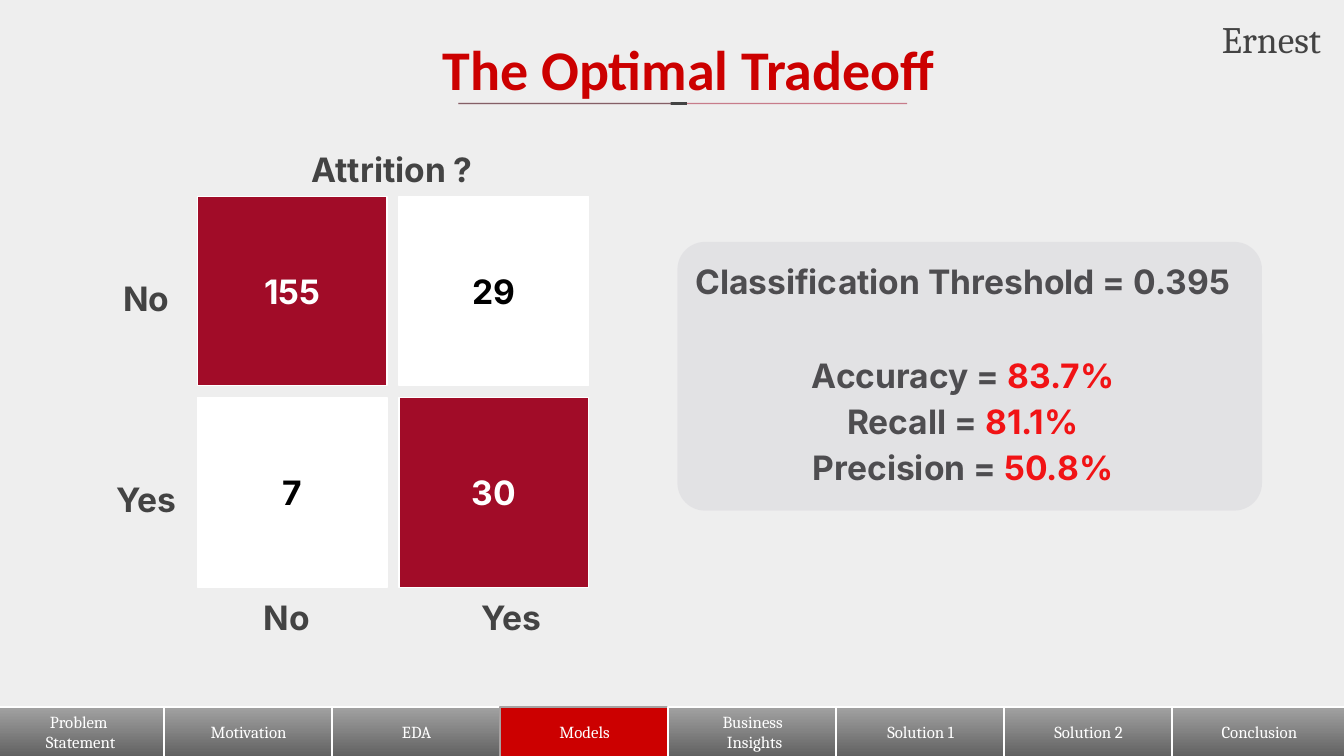
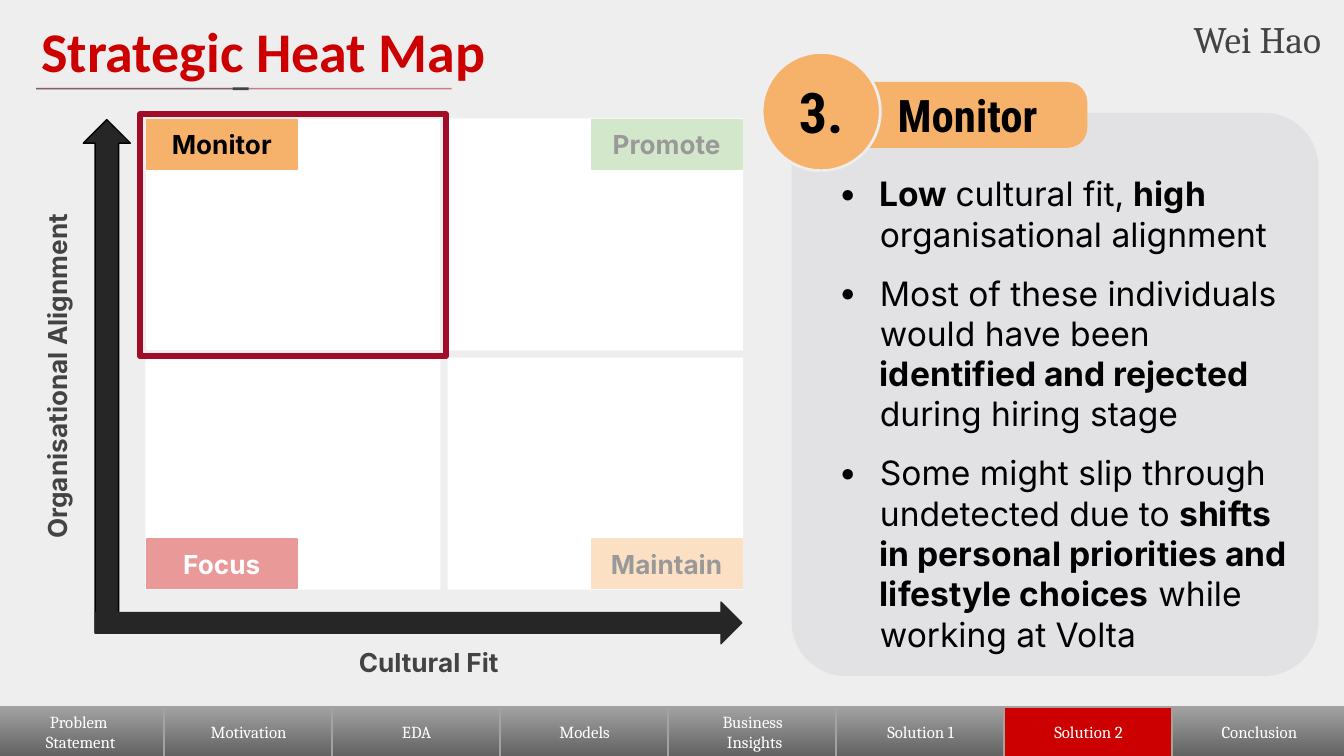
from pptx import Presentation
from pptx.dml.color import RGBColor
from pptx.enum.shapes import MSO_CONNECTOR, MSO_SHAPE
from pptx.enum.text import MSO_ANCHOR, PP_ALIGN
from pptx.oxml.ns import qn
from pptx.util import Pt
from lxml import etree

PX = 9144  # 100 px to the inch
RECT, ROUND, OVAL = MSO_SHAPE.RECTANGLE, MSO_SHAPE.ROUNDED_RECTANGLE, MSO_SHAPE.OVAL
SNIP, UP, RIGHT = MSO_SHAPE.SNIP_1_RECTANGLE, MSO_SHAPE.UP_ARROW, MSO_SHAPE.RIGHT_ARROW
STRAIGHT = MSO_CONNECTOR.STRAIGHT
LEFT, MID, END = PP_ALIGN.LEFT, PP_ALIGN.CENTER, PP_ALIGN.RIGHT
TOP, CENTRE = MSO_ANCHOR.TOP, MSO_ANCHOR.MIDDLE

HEX = {
    "page": "EEEEEE", "white": "FFFFFF", "black": "000000", "dark": "434343",
    "red": "CC0000", "wine": "A10C28", "hot": "FF0000", "edge": "A6A1A1",
    "light": "A2A2A2", "deep": "616161", "panel": "9894A8", "arrow": "262626",
    "amber": "F6B26B", "green": "93C47D",
}
BODY, HEAD, SERIF, NARROW = "Inter", "Calibri", "Cambria", "Roboto Condensed"
TABS = ["Problem \nStatement", "Motivation", "EDA", "Models", "Business\n Insights",
        "Solution 1", "Solution 2", "Conclusion"]
BOLD = {"bold": True}
HOT = {"tone": "hot"}


def rgb(name):
    return RGBColor.from_string(HEX[name])


def px(*nums):
    return [n * PX for n in nums]


def fade(shape, pct):
    """Set the opacity of every colour of a shape."""
    for clr in shape.element.spPr.iter(qn("a:srgbClr")):
        etree.SubElement(clr, qn("a:alpha"), val=str(pct * 1000))


def bullet(para):
    props = para._p.get_or_add_pPr()
    props.set("marL", str(44 * PX))
    props.set("indent", str(-31 * PX))
    clr = etree.SubElement(props, qn("a:buClr"))
    etree.SubElement(clr, qn("a:srgbClr"), val=HEX["black"])
    etree.SubElement(props, qn("a:buFont"), typeface=BODY)
    etree.SubElement(props, qn("a:buChar"), char="•")


def write(shape, paras, size=18, tone="dark", font=BODY, bold=True, align=MID,
          anchor=TOP, inset=(10, 10), lines=None, dots=False, gaps=()):
    """Fill a shape; a paragraph is a string or a list of (text, changes)."""
    frame = shape.text_frame
    frame.word_wrap = True
    frame.vertical_anchor = anchor
    frame.margin_left = frame.margin_right = inset[0] * PX
    frame.margin_top = frame.margin_bottom = inset[1] * PX
    for i, runs in enumerate(paras):
        para = frame.paragraphs[0] if i == 0 else frame.add_paragraph()
        if dots:
            bullet(para)
        para.alignment = align
        if lines:
            para.line_spacing = lines
        if i < len(gaps) and gaps[i]:
            para.space_before = Pt(gaps[i])
        para.font.size, para.font.name, para.font.bold = Pt(size), font, bold
        para.font.color.rgb = rgb(tone)
        for text, change in [(runs, {})] if isinstance(runs, str) else runs:
            run = para.add_run()
            run.text = text
            if "bold" in change:
                run.font.bold = change["bold"]
            if "tone" in change:
                run.font.color.rgb = rgb(change["tone"])


def draw(slide, kind, box, fill=None, line=None, width=0.75, adj=None):
    shape = slide.shapes.add_shape(kind, *px(*box))
    shape.shadow.inherit = False
    if adj is not None:
        shape.adjustments[0] = adj
    if fill:
        shape.fill.solid()
        shape.fill.fore_color.rgb = rgb(fill)
    else:
        shape.fill.background()
    if line:
        shape.line.color.rgb = rgb(line)
        shape.line.width = Pt(width)
    else:
        shape.line.fill.background()
    return shape


def label(slide, box, paras, **style):
    shape = slide.shapes.add_textbox(*px(*box))
    write(shape, paras, **style)
    return shape


def rule(slide, x, y, width, tone):
    line = slide.shapes.add_connector(STRAIGHT, *px(x, y, x + width, y))
    line.line.color.rgb = rgb(tone)
    line.line.width = Pt(0.75)
    fade(line, 50)
    etree.SubElement(line.element.spPr, qn("a:effectLst"))


# Shared parts

def title(slide, text, box, bar, **style):
    label(slide, box, [text], size=30, tone="red", font=HEAD, **style)
    x, y, width = bar
    part = round(width * 0.473)
    rule(slide, x, y, width, "wine")
    rule(slide, x, y, part, "dark")
    draw(slide, RECT, (x + part, y - 1, 12, 2), "dark")


def footer(slide, now, edge):
    for i, name in enumerate(TABS):
        on = name == now
        wide = 130 if i == len(TABS) - 1 else 126
        tab = draw(slide, SNIP, (125 * i - 3, 526, wide, 37), "red",
                   "edge" if on else edge, adj=0)
        if not on:
            tab.fill.gradient()
            tab.fill.gradient_angle = 270
            for stop, tone in zip(tab.fill.gradient_stops, ("light", "deep")):
                stop.color.rgb = rgb(tone)
        write(tab, name.split("\n"), size=9, tone="white", font=SERIF, bold=False,
              anchor=CENTRE, inset=(7, 4))


def page(deck, now, edge, who):
    slide = deck.slides.add_slide(deck.slide_layouts[6])
    slide.background.fill.solid()
    slide.background.fill.fore_color.rgb = rgb("page")
    footer(slide, now, edge)
    label(slide, (849, 8, 141, 41), [who], size=20, font=SERIF, bold=False,
          align=END, inset=(7, 4))
    return slide


def panel(slide, box):
    shape = draw(slide, ROUND, box, "panel", adj=0.103)
    fade(shape, 13)
    return shape


# Confusion matrix

def matrix(slide, x, y):
    side, step = 141, 150
    for r, row in enumerate([("155", "29"), ("7", "30")]):
        for c, count in enumerate(row):
            hit = r == c
            cell = draw(slide, RECT, (x + c * step, y + r * step, side, side),
                        "wine" if hit else "white", "white")
            write(cell, [count], tone="white" if hit else "black", anchor=CENTRE)
    for i, name in enumerate(("No", "Yes")):
        label(slide, (x - 76, y + 46 + i * step, 76, 50), [name], lines=1.15)
        label(slide, (x + 30 + i * 167, y + 284, 73, 50), [name], lines=1.15)
    label(slide, (x + 52, y - 50, 186, 50), ["Attrition ?"], lines=1.15)


def scores(slide, x, y):
    rates = [("Accuracy", "83.7%"), ("Recall", "81.1%"), ("Precision", "50.8%")]
    label(slide, (x - 5, y, 435, 225),
          ["Classification Threshold = 0.395"]
          + [[(f"{name} = ", {}), (rate, HOT)] for name, rate in rates],
          lines=1.15, gaps=(0, 25))
    panel(slide, (x, y, 435, 200))


# Heat map

def heatmap(slide, x, y):
    wide, high, right, low = 218, 171, 225, 178
    spots = [(x + c * right, y + r * low) for r in (0, 1) for c in (0, 1)]
    for left, top in spots:
        draw(slide, RECT, (left, top, wide, high), "white", "white")

    # Axes
    draw(slide, UP, (x - 47, y, 35, 382), "arrow", "black")
    draw(slide, RIGHT, (x - 38, y + 359, 481, 31), "arrow", "arrow")
    side = label(slide, (x - 213, y + 168, 296, 46), ["Organisational Alignment"], size=14)
    side.rotation = 270
    label(slide, (x + 101, y + 382, 218, 46), ["Cultural Fit"], size=14)

    # Tags in the outer corners
    tags = [("Monitor", "amber", "black"), ("Promote", "green", "black"),
            ("Focus", "red", "white"), ("Maintain", "amber", "black")]
    for i, (name, fill, tone) in enumerate(tags):
        left, top = spots[i]
        tag = draw(slide, RECT, (left + i % 2 * (wide - 112), top + i // 2 * (high - 37),
                                 112, 37), fill, fill)
        write(tag, [name], size=14, tone=tone, anchor=CENTRE)

    # Veils over all but the first cell, which is framed
    for left, top in spots[1:]:
        fade(draw(slide, RECT, (left - 1, top - 1, wide + 2, high + 2), "white"), 60)
    draw(slide, RECT, (x - 5, y - 4, 228, 180), line="wine", width=3)


def advice(slide, x, y):
    points = [
        [("Low ", BOLD), ("cultural fit, ", {}), ("high", BOLD),
         (" organisational alignment", {})],
        [("Most of these individuals would have been ", {}),
         ("identified and rejected ", BOLD), ("during hiring stage", {})],
        [("Some might slip through undetected due to ", {}),
         ("shifts in personal priorities and lifestyle choices", BOLD),
         (" while working at Volta", {})],
    ]
    body = panel(slide, (x, y, 392, 419))
    write(body, points, tone="black", bold=False, align=LEFT, dots=True, gaps=(0, 10, 10))
    body.text_frame.margin_top = 33 * PX
    head = draw(slide, ROUND, (x + 42, y - 23, 178, 49), "amber", adj=0.3)
    write(head, ["Monitor"], size=24, tone="black", font=NARROW, anchor=CENTRE)
    badge = draw(slide, OVAL, (x - 22, y - 45, 88, 88), "amber", "page", 1.5)
    write(badge, ["3."], size=30, tone="black", font=NARROW, anchor=CENTRE)


def main():
    deck = Presentation()
    deck.slide_width = 1000 * PX
    deck.slide_height = deck.slide_width * 9 // 16

    slide = page(deck, "Models", "white", "Ernest")
    title(slide, "The Optimal Tradeoff", (264, 8, 497, 71), (341, 77, 334), lines=1.15)
    matrix(slide, 147, 146)
    scores(slide, 504, 180)

    slide = page(deck, "Solution 2", "edge", "Wei Hao")
    title(slide, "Strategic Heat Map", (21, 2, 843, 63), (27, 66, 309), align=LEFT)
    advice(slide, 589, 84)
    heatmap(slide, 109, 89)

    deck.save("out.pptx")


if __name__ == "__main__":
    main()
